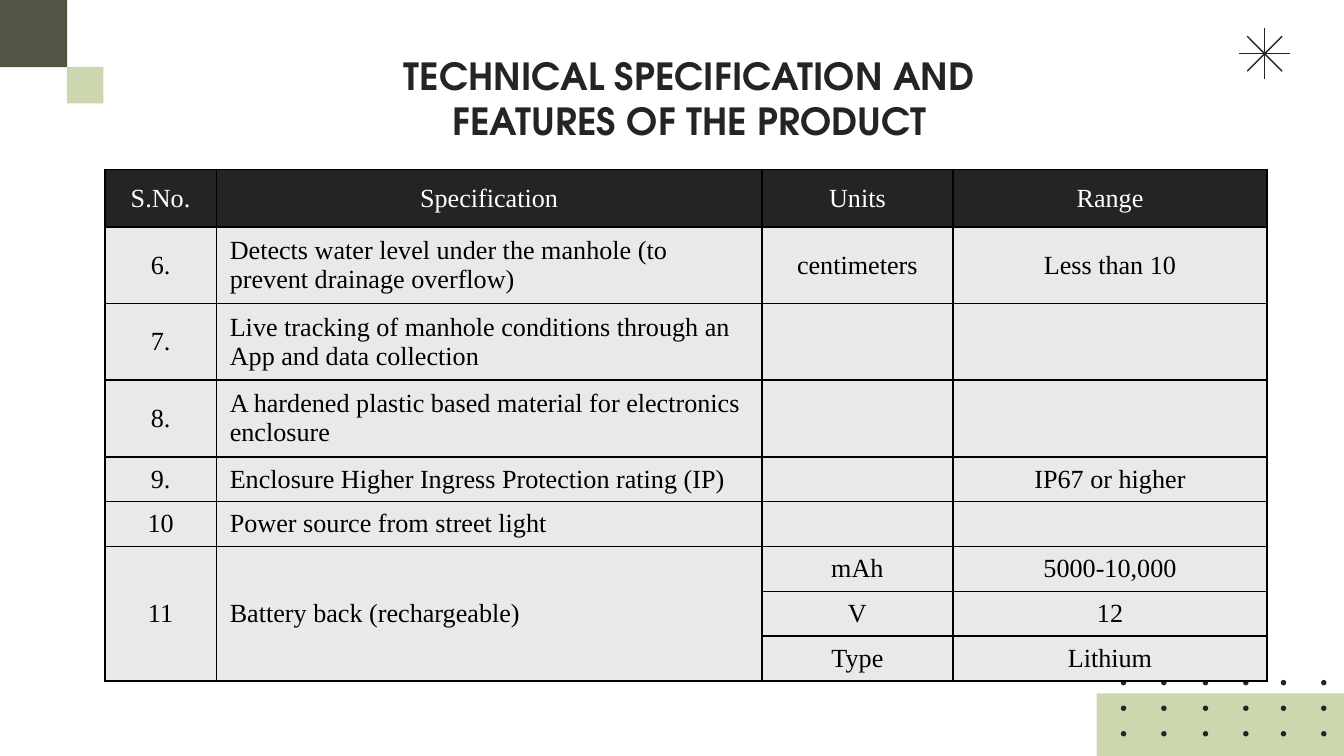
from typing import NamedTuple

from lxml.etree import SubElement
from pptx import Presentation
from pptx.dml.color import RGBColor
from pptx.enum.shapes import MSO_CONNECTOR as Connector, MSO_SHAPE as Shape
from pptx.enum.text import MSO_ANCHOR as Anchor, PP_ALIGN as Align
from pptx.oxml.ns import qn
from pptx.util import Inches, Pt

INK, OLIVE, SAGE = "242424", "515544", "CCD6AF"
WHITE, BLACK, PALE = "FFFFFF", "000000", "E9E9E9"
TITLE_FONT, TABLE_FONT = "TeX Gyre Adventor", "Times New Roman"


class Block(NamedTuple):
    left: float
    top: float
    width: float
    height: float
    color: str
    kind: Shape = Shape.RECTANGLE


class Ray(NamedTuple):
    x1: float
    y1: float
    x2: float
    y2: float


class Feature(NamedTuple):
    number: str
    specification: str
    units: str
    range: str
    height: float


CORNER_BLOCKS = [
    Block(0, 0, 0.5, 0.5, OLIVE),
    Block(0.5, 0.5, 0.27, 0.27, SAGE),
    Block(8.16, 5.16, 1.84, 0.47, SAGE),
]
DOTS = [
    Block(left, 5.06 + 0.19 * row, 0.04, 0.04, INK, Shape.OVAL)
    for left in (8.34, 8.64, 8.95, 9.25, 9.53, 9.83) for row in range(3)
]
STAR_RAYS = [
    Ray(9.28, 0.27, 9.54, 0.53),
    Ray(9.54, 0.27, 9.28, 0.53),
    Ray(9.41, 0.21, 9.41, 0.59),
    Ray(9.6, 0.4, 9.22, 0.4),
]
COLUMN_WIDTHS = [0.83, 4.06, 1.42, 2.34]
TALL, SHORT = 0.57, 0.33
FEATURES = [
    Feature("S.No.", "Specification", "Units", "Range", 0.43),
    Feature("6.", "Detects water level under the manhole (to prevent drainage overflow)",
            "centimeters", "Less than 10", TALL),
    Feature("7.", "Live tracking of manhole conditions through an App and data collection",
            "", "", TALL),
    Feature("8.", "A hardened plastic based material for electronics enclosure",
            "", "", TALL),
    Feature("9.", "Enclosure Higher Ingress Protection rating (IP)",
            "", "IP67 or higher", SHORT),
    Feature("10", "Power source from street light", "", "", SHORT),
    Feature("11", "Battery back (rechargeable)", "mAh", "5000-10,000", SHORT),
    Feature("", "", "V", "12", SHORT),
    Feature("", "", "Type", "Lithium", SHORT),
]
BATTERY_ROW = 6


def rgb(color: str) -> RGBColor:
    return RGBColor.from_string(color)


def add_block(slide, block: Block) -> None:
    shape = slide.shapes.add_shape(block.kind, *map(Inches, block[:4]))
    shape.shadow.inherit = False
    shape.fill.solid()
    shape.fill.fore_color.rgb = rgb(block.color)
    shape.line.fill.background()


def add_ray(slide, ray: Ray) -> None:
    line = slide.shapes.add_connector(Connector.STRAIGHT, *map(Inches, ray))
    line.line.color.rgb = rgb(INK)
    line.line.width = Pt(0.75)
    SubElement(line._element.spPr, qn("a:effectLst"))


def add_text(paragraph, text: str, font: str, size: float, color: str,
             bold: bool = False) -> None:
    run = paragraph.add_run()
    run.text = text
    run.font.name = font
    run.font.size = Pt(size)
    run.font.bold = bold
    run.font.color.rgb = rgb(color)


def add_title(slide, text: str) -> None:
    frame = slide.shapes.add_textbox(
        Inches(2.44), Inches(0.35), Inches(5.38), Inches(0.77)).text_frame
    frame.word_wrap = True
    frame.paragraphs[0].alignment = Align.CENTER
    add_text(frame.paragraphs[0], text, TITLE_FONT, 20, INK, bold=True)


def add_borders(cell) -> None:
    properties = cell._tc.get_or_add_tcPr()
    # Borders have to come before the cell fill
    for position, side in enumerate(("a:lnL", "a:lnR", "a:lnT", "a:lnB")):
        border = SubElement(properties, qn(side), w=str(Pt(1)))
        fill = SubElement(border, qn("a:solidFill"))
        SubElement(fill, qn("a:srgbClr"), val=BLACK)
        properties.insert(position, border)


def fill_cell(cell, text: str, align: Align, is_header: bool) -> None:
    cell.fill.solid()
    cell.fill.fore_color.rgb = rgb(INK if is_header else PALE)
    cell.vertical_anchor = Anchor.MIDDLE
    add_borders(cell)
    paragraph = cell.text_frame.paragraphs[0]
    paragraph.alignment = align
    if text:
        add_text(paragraph, text, TABLE_FONT, 14, WHITE if is_header else BLACK)
    else:
        # Keeps empty cells from stretching their row
        SubElement(paragraph._p, qn("a:endParaRPr"), sz="1400")


def add_feature_table(slide) -> None:
    table = slide.shapes.add_table(
        len(FEATURES), len(COLUMN_WIDTHS), Inches(0.78), Inches(1.26),
        Inches(sum(COLUMN_WIDTHS)), Inches(sum(f.height for f in FEATURES))).table
    for column, width in zip(table.columns, COLUMN_WIDTHS):
        column.width = Inches(width)
    for row, feature in enumerate(FEATURES):
        table.rows[row].height = Inches(feature.height)
        for column, text in enumerate(feature[:4]):
            align = Align.LEFT if row and column == 1 else Align.CENTER
            fill_cell(table.cell(row, column), text, align, row == 0)
    # The battery's number and name span its three ratings
    for column in (0, 1):
        table.cell(BATTERY_ROW, column).merge(table.cell(BATTERY_ROW + 2, column))


def main() -> None:
    deck = Presentation()
    # Widescreen, 16:9
    deck.slide_width = Inches(10)
    deck.slide_height = deck.slide_width * 9 // 16
    slide = deck.slides.add_slide(deck.slide_layouts[6])

    # Decoration
    for ray in STAR_RAYS:
        add_ray(slide, ray)
    for block in CORNER_BLOCKS + DOTS:
        add_block(slide, block)

    # Content
    add_title(slide, "TECHNICAL SPECIFICATION AND FEATURES OF THE PRODUCT")
    add_feature_table(slide)
    deck.save("out.pptx")


if __name__ == "__main__":
    main()
